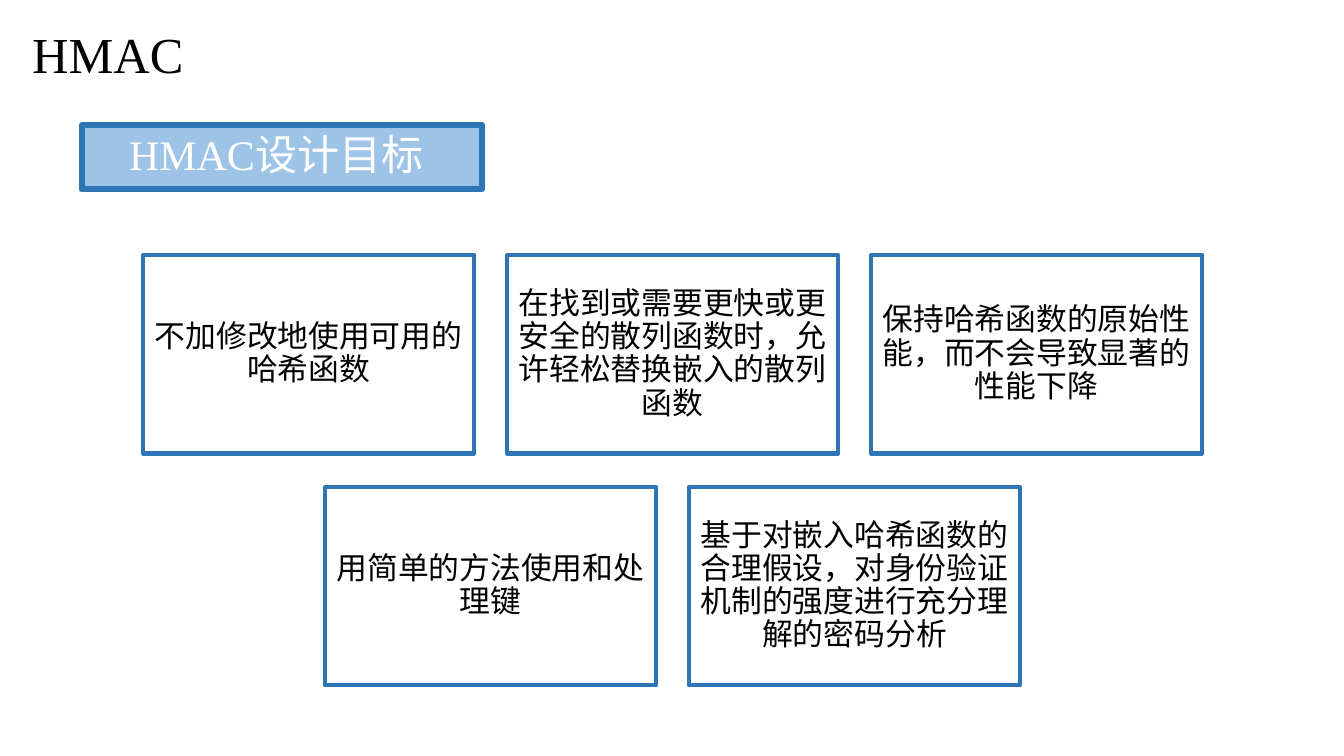
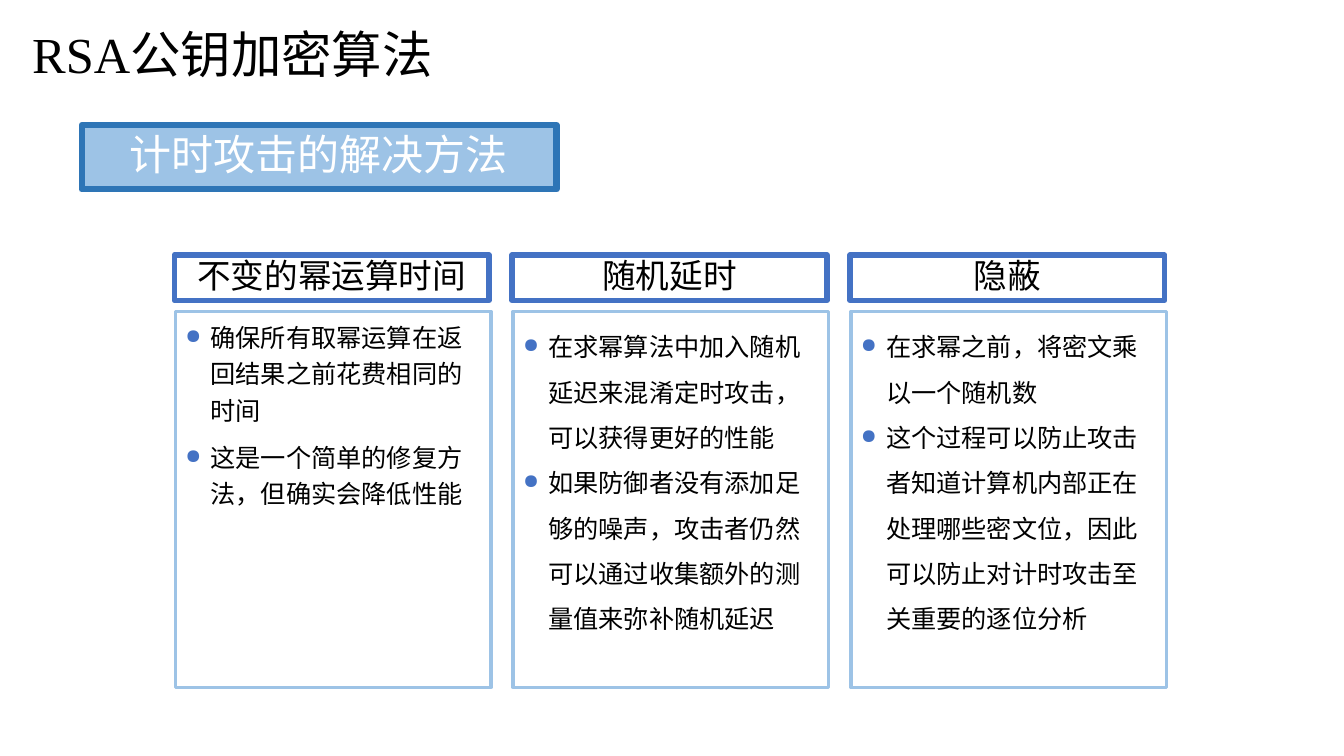
from dataclasses import dataclass

from lxml import etree
from pptx import Presentation
from pptx.dml.color import RGBColor
from pptx.enum.shapes import MSO_SHAPE
from pptx.enum.text import MSO_ANCHOR, PP_ALIGN
from pptx.oxml.ns import qn
from pptx.presentation import Presentation as Deck
from pptx.shapes.autoshape import Shape
from pptx.slide import Slide
from pptx.util import Inches, Pt

RECTANGLE = MSO_SHAPE.RECTANGLE
TOP, MIDDLE = MSO_ANCHOR.TOP, MSO_ANCHOR.MIDDLE
LEFT, CENTER = PP_ALIGN.LEFT, PP_ALIGN.CENTER

BLACK = RGBColor(0x00, 0x00, 0x00)
WHITE = RGBColor(0xFF, 0xFF, 0xFF)
LIGHT_BLUE = RGBColor(0x9D, 0xC3, 0xE6)
DARK_BLUE = RGBColor(0x2E, 0x75, 0xB6)
BLUE = RGBColor(0x44, 0x72, 0xC4)

LATIN_FONT = "Times New Roman"
CHINESE_FONT = "Noto Sans CJK SC"

CARD_LEFT, CARD_TOP = 1.42, 2.53
CARD_WIDTH, CARD_HEIGHT, CARD_GAP = 3.28, 1.97, 0.33
COLUMN_LEFT, COLUMN_PITCH = 1.73, 3.35


@dataclass(frozen=True)
class Column:
    heading: str
    points: tuple[str, ...]
    line_spacing: float = 1.5
    space_between: float = 0


GOAL_ROWS = (
    (
        "不加修改地使用可用的哈希函数",
        "在找到或需要更快或更安全的散列函数时，允许轻松替换嵌入的散列函数",
        "保持哈希函数的原始性能，而不会导致显著的性能下降",
    ),
    (
        "用简单的方法使用和处理键",
        "基于对嵌入哈希函数的合理假设，对身份验证机制的强度进行充分理解的密码分析",
    ),
)

COLUMNS = (
    Column(
        "不变的幂运算时间",
        (
            "确保所有取幂运算在返回结果之前花费相同的时间",
            "这是一个简单的修复方法，但确实会降低性能",
        ),
        line_spacing=1.2,
        space_between=8,
    ),
    Column(
        "随机延时",
        (
            "在求幂算法中加入随机延迟来混淆定时攻击，可以获得更好的性能",
            "如果防御者没有添加足够的噪声，攻击者仍然可以通过收集额外的测量值来弥补随机延迟",
        ),
    ),
    Column(
        "隐蔽",
        (
            "在求幂之前，将密文乘以一个随机数",
            "这个过程可以防止攻击者知道计算机内部正在处理哪些密文位，因此可以防止对计时攻击至关重要的逐位分析",
        ),
    ),
)


def add_bullet(paragraph) -> None:
    properties = paragraph._p.get_or_add_pPr()
    properties.set("marL", str(Inches(0.25)))
    properties.set("indent", str(-Inches(0.25)))
    color = etree.SubElement(properties, qn("a:buClr"))
    etree.SubElement(color, qn("a:srgbClr"), val=str(BLUE))
    etree.SubElement(properties, qn("a:buSzPct"), val="80000")
    etree.SubElement(properties, qn("a:buChar"), char="●")


def write_text(
    shape: Shape,
    *lines: str,
    size: float,
    color: RGBColor = BLACK,
    font_name: str = LATIN_FONT,
    align: PP_ALIGN = LEFT,
    anchor: MSO_ANCHOR = MIDDLE,
    margins: tuple[float, float, float, float] = (0.1, 0.05, 0.1, 0.05),
    line_spacing: float = 1,
    space_between: float = 0,
    bullets: bool = False,
) -> None:
    """Fill a shape with paragraphs; margins run left, top, right, bottom."""
    frame = shape.text_frame
    frame.word_wrap = True
    frame.vertical_anchor = anchor
    (frame.margin_left, frame.margin_top,
     frame.margin_right, frame.margin_bottom) = map(Inches, margins)
    for index, line in enumerate(lines):
        paragraph = frame.add_paragraph() if index else frame.paragraphs[0]
        paragraph.alignment = align
        paragraph.line_spacing = line_spacing
        if index:
            paragraph.space_before = Pt(space_between)
        if bullets:
            add_bullet(paragraph)
        run = paragraph.add_run()
        run.text = line
        run.font.size = Pt(size)
        run.font.name = font_name
        run.font.color.rgb = color
        etree.SubElement(run.font._element, qn("a:ea"), typeface=CHINESE_FONT)


def add_box(
    slide: Slide,
    left: float,
    top: float,
    width: float,
    height: float,
    line_color: RGBColor,
    line_width: float,
    fill: RGBColor | None = None,
) -> Shape:
    shape = slide.shapes.add_shape(
        RECTANGLE, Inches(left), Inches(top), Inches(width), Inches(height)
    )
    shape.shadow.inherit = False
    if fill is None:
        shape.fill.background()
    else:
        shape.fill.solid()
        shape.fill.fore_color.rgb = fill
    shape.line.color.rgb = line_color
    shape.line.width = Pt(line_width)
    return shape


def add_titled_slide(
    presentation: Deck, title: str, banner: str, banner_width: float
) -> Slide:
    slide = presentation.slides.add_slide(presentation.slide_layouts[6])
    title_box = slide.shapes.add_textbox(
        Inches(0.21), Inches(0), Inches(5.91), Inches(1.06)
    )
    write_text(title_box, title, size=36, margins=(0.11, 0.06, 0.11, 0.06))
    banner_box = add_box(
        slide, 0.81, 1.24, banner_width, 0.64, DARK_BLUE, 4.33, LIGHT_BLUE
    )
    write_text(banner_box, banner, size=30, color=WHITE,
               margins=(0.47, 0, 0.1, 0), line_spacing=0.9)
    return slide


def add_goal_cards(slide: Slide) -> None:
    """Draw the rows of cards, each row centred under the first."""
    pitch = CARD_WIDTH + CARD_GAP
    for row, goals in enumerate(GOAL_ROWS):
        row_left = CARD_LEFT + (len(GOAL_ROWS[0]) - len(goals)) * pitch / 2
        top = CARD_TOP + row * (CARD_HEIGHT + CARD_GAP)
        for position, goal in enumerate(goals):
            card = add_box(slide, row_left + position * pitch, top,
                           CARD_WIDTH, CARD_HEIGHT, DARK_BLUE, 3)
            write_text(card, goal, size=22, font_name=CHINESE_FONT, align=CENTER,
                       margins=(0.09, 0.09, 0.09, 0.09), line_spacing=0.9)


def add_columns(slide: Slide) -> None:
    for index, column in enumerate(COLUMNS):
        left = COLUMN_LEFT + index * COLUMN_PITCH
        heading = add_box(slide, left, 2.53, 3.12, 0.45, BLUE, 4)
        write_text(heading, column.heading, size=24, align=CENTER, line_spacing=0.9)
        body = add_box(slide, left + 0.01, 3.09, 3.13, 3.73, LIGHT_BLUE, 2.5)
        write_text(body, *column.points, size=18, anchor=TOP, bullets=True,
                   line_spacing=column.line_spacing,
                   space_between=column.space_between)


def main() -> None:
    presentation = Presentation()
    presentation.slide_width = Inches(13.33)
    presentation.slide_height = Inches(7.5)
    add_goal_cards(add_titled_slide(presentation, "HMAC", "HMAC设计目标", 3.97))
    add_columns(
        add_titled_slide(presentation, "RSA公钥加密算法", "计时攻击的解决方法", 4.71)
    )
    presentation.save("out.pptx")


if __name__ == "__main__":
    main()
